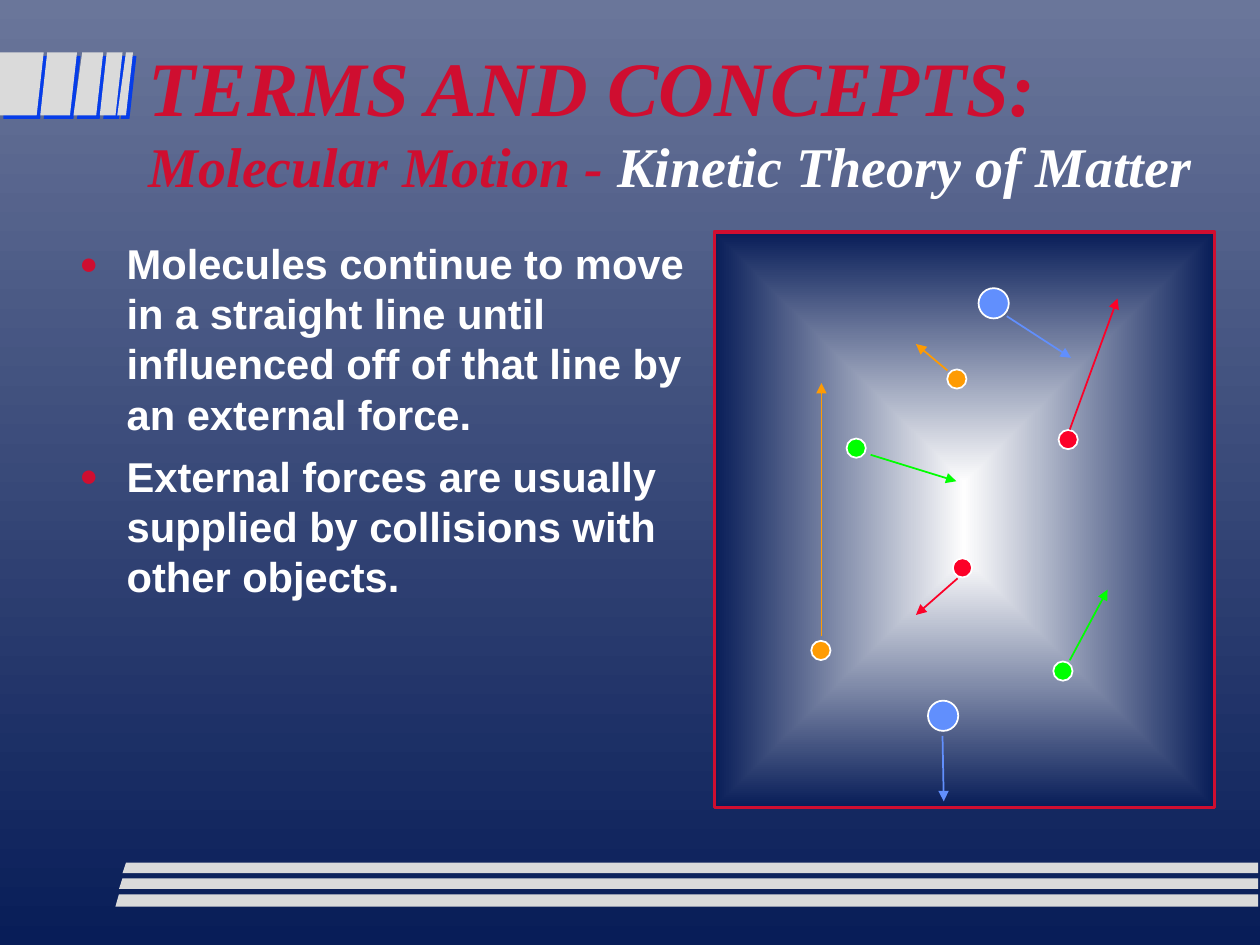
from typing import NamedTuple
from lxml.etree import SubElement
from pptx import Presentation
from pptx.dml.color import RGBColor as RGB
from pptx.enum.shapes import MSO_CONNECTOR as Link, MSO_SHAPE as Shape
from pptx.enum.text import MSO_ANCHOR as Anchor, MSO_AUTO_SIZE as Fit, PP_ALIGN as Align
from pptx.oxml.ns import qn
from pptx.util import Pt

INK = {
    "sky": "6A769A", "navy": "081D58", "glow": "FEFEFE", "bar": "DADADA",
    "shade": "063DE8", "crimson": "CF0E30", "white": "FFFFFF",
    "green": "00FF00", "red": "FC0128", "blue": "618FFD", "orange": "FE9B03",
}


class Ball(NamedTuple):
    """A molecule and the arrow of its motion."""
    ink: str
    left: float
    top: float
    size: float
    start: tuple[float, float]
    end: tuple[float, float]


SMALL, LARGE = 11, 17.3
BALLS = [
    Ball("green", 601.9, 378, SMALL, (611.3, 377.3), (632.9, 337)),
    Ball("red", 544.5, 319, SMALL, (547.2, 330.5), (523.4, 351.4)),
    Ball("blue", 530.3, 400.4, LARGE, (538.6, 420.5), (539.3, 457.9)),
    Ball("blue", 559.2, 164.7, LARGE, (575.3, 180.7), (612, 204.5)),
    Ball("red", 604.9, 245.7, SMALL, (611.3, 245.5), (638.6, 170.6)),
    Ball("orange", 463.6, 366.2, SMALL, (469.4, 363.6), (469.4, 218.9)),
    Ball("orange", 541.3, 211.1, SMALL, (541.4, 211.7), (523.4, 196.6)),
    Ball("green", 483.8, 250.6, SMALL, (497.5, 259.9), (546.5, 275)),
]
# Left and right end of each slanted block's top edge
BLOCKS = [(27.2, 43.9), (46.6, 59.3), (61.1, 69.8), (71.5, 76.1)]
POINTS = [
    "Molecules continue to move in a straight line until influenced off of that "
    "line by an external force.",
    "External forces are usually supplied by collisions with other objects.",
]


def tint(ink: str) -> RGB:
    return RGB.from_string(INK[ink])


def blend(fill, first: str, last: str) -> None:
    fill.gradient()
    for stop, ink, place in zip(fill.gradient_stops, (first, last), (0, 1)):
        stop.color.rgb = tint(ink)
        stop.position = place


def write(para, text: str, *, size: float, font: str, ink: str, slant: bool = False):
    run = para.add_run()
    run.text = text
    run.font.size, run.font.name = Pt(size), font
    run.font.bold, run.font.italic = True, slant
    run.font.color.rgb = tint(ink)


def place(shape, left: float, top: float, width: float, height: float):
    shape.left, shape.top = Pt(left), Pt(top)
    shape.width, shape.height = Pt(width), Pt(height)
    frame = shape.text_frame
    frame.auto_size, frame.word_wrap = Fit.NONE, True
    frame.margin_left = frame.margin_right = Pt(7.2)
    frame.margin_top = frame.margin_bottom = Pt(3.6)
    return frame


def outline(slide, spots: list[tuple[float, float]], shade: bool = False) -> None:
    """Draw a closed bar, with a hard drop shadow on request."""
    pen = slide.shapes.build_freeform(*spots[0], scale=Pt(1))
    pen.add_line_segments(spots[1:], close=True)
    bar = pen.convert_to_shape()
    bar.shadow.inherit = False
    bar.fill.solid()
    bar.fill.fore_color.rgb = tint("bar")
    bar.line.fill.background()
    if shade:
        effects = bar._element.spPr.find(qn("a:effectLst"))
        drop = SubElement(effects, qn("a:outerShdw"), blurRad="0", dist=str(Pt(2.8)),
                          dir="2700000", algn="ctr", rotWithShape="0")
        SubElement(drop, qn("a:srgbClr"), val=INK["shade"])


def solid(slide, kind, box: tuple, edge: str, weight: float):
    shape = slide.shapes.add_shape(kind, *map(Pt, box))
    shape.shadow.inherit = False
    shape.line.color.rgb = tint(edge)
    shape.line.width = Pt(weight)
    return shape


def chamber(slide) -> None:
    box = solid(slide, Shape.RECTANGLE, (408.2, 132.5, 285.8, 329), "crimson", 2)
    blend(box.fill, "glow", "navy")
    grad = box._element.spPr.find(qn("a:gradFill"))
    grad.remove(grad.find(qn("a:lin")))
    track = SubElement(grad, qn("a:path"), path="rect")
    SubElement(track, qn("a:fillToRect"), l="50000", t="50000", r="50000", b="50000")


def disc(slide, ball: Ball) -> None:
    box = (ball.left, ball.top, ball.size, ball.size)
    shape = solid(slide, Shape.OVAL, box, "white", 1)
    shape.fill.solid()
    shape.fill.fore_color.rgb = tint(ball.ink)


def arrow(slide, ball: Ball) -> None:
    line = slide.shapes.add_connector(Link.STRAIGHT, *map(Pt, ball.start + ball.end))
    line.line.color.rgb = tint(ball.ink)
    line.line.width = Pt(1)
    props = line._element.spPr
    SubElement(props.find(qn("a:ln")), qn("a:tailEnd"), type="triangle")
    SubElement(props, qn("a:effectLst"))


def bullet(para) -> None:
    props = para._p.get_or_add_pPr()
    props.set("marL", str(Pt(27)))
    props.set("indent", str(Pt(-27)))
    hue = SubElement(props, qn("a:buClr"))
    SubElement(hue, qn("a:srgbClr"), val=INK["crimson"])
    SubElement(props, qn("a:buSzPct"), val="75000")
    SubElement(props, qn("a:buFont"), typeface="Arial")
    SubElement(props, qn("a:buChar"), char="●")


def heading(slide) -> None:
    frame = place(slide.shapes.title, 77.8, 21.6, 612, 92.9)
    frame.vertical_anchor = Anchor.MIDDLE
    para = frame.paragraphs[0]
    para.alignment = Align.LEFT
    style = dict(font="Times New Roman", slant=True)
    write(para, "TERMS AND CONCEPTS:", size=44, ink="crimson", **style)
    para.add_line_break()
    write(para, "Molecular Motion - ", size=32, ink="crimson", **style)
    write(para, "Kinetic Theory of Matter", size=32, ink="white", **style)


def listing(slide) -> None:
    frame = place(slide.placeholders[1], 38.2, 132.5, 365, 256.3)
    frame.vertical_anchor = Anchor.TOP
    for i, text in enumerate(POINTS):
        para = frame.add_paragraph() if i else frame.paragraphs[0]
        para.space_before = Pt(7 if i else 0)
        para.line_spacing = Pt(28.6)
        bullet(para)
        write(para, text, size=23.8, font="Arial", ink="white")


def main() -> None:
    deck = Presentation()
    deck.slide_width, deck.slide_height = Pt(720), Pt(540)
    slide = deck.slides.add_slide(deck.slide_layouts[1])
    back = slide.background.fill
    blend(back, "sky", "navy")
    back.gradient_angle = 270

    high, low, lean = 30.2, 66.2, 4.2
    outline(slide, [(0, high), (25.2, high), (21, low), (0, low)], shade=True)
    for left, right in BLOCKS:
        outline(slide, [(left, high), (right, high), (right - lean, low),
                        (left - lean, low)], shade=True)
    for i in range(3):
        left, top = 71.8 - 2 * i, 492.6 + 9.35 * i
        outline(slide, [(left, top), (719.3, top), (719.3, top + 6.4),
                        (left - 1.6, top + 6.4)])
    heading(slide)
    chamber(slide)
    listing(slide)
    for draw in (disc, arrow):
        for ball in BALLS:
            draw(slide, ball)
    deck.save("out.pptx")


if __name__ == "__main__":
    main()
